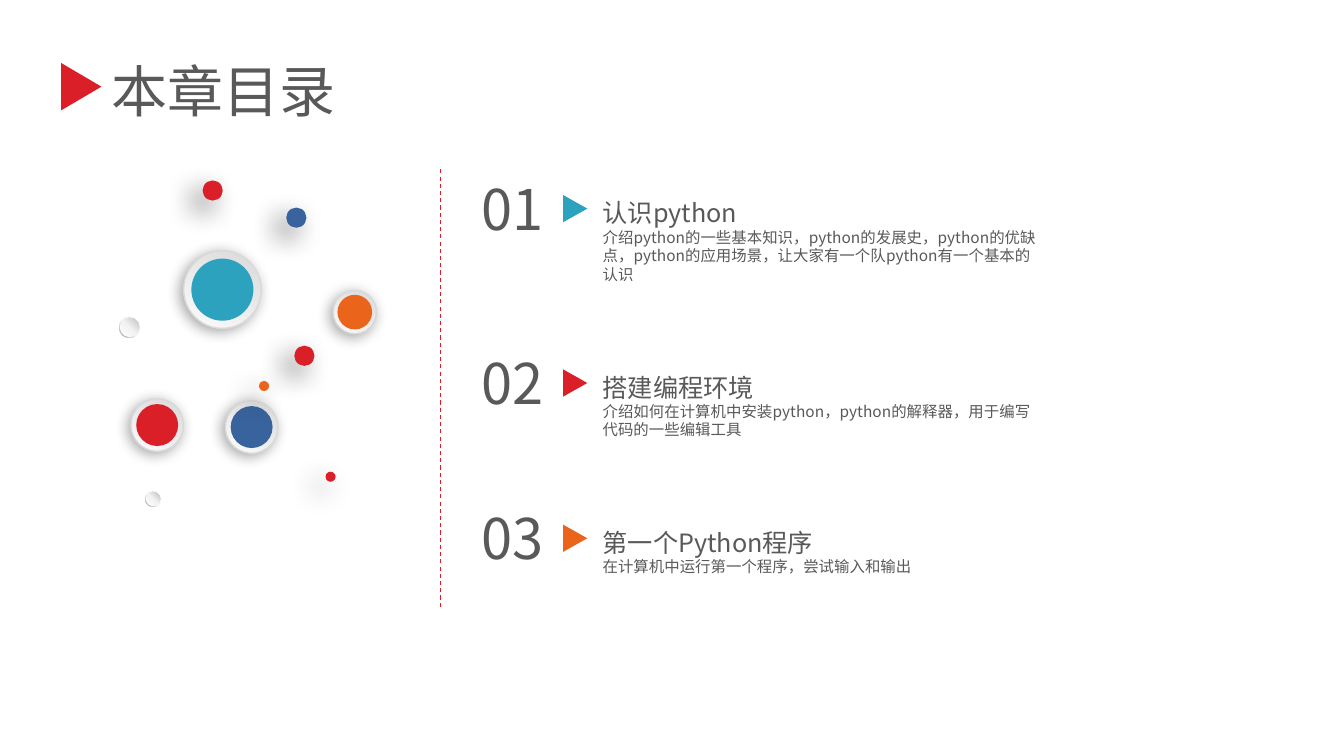
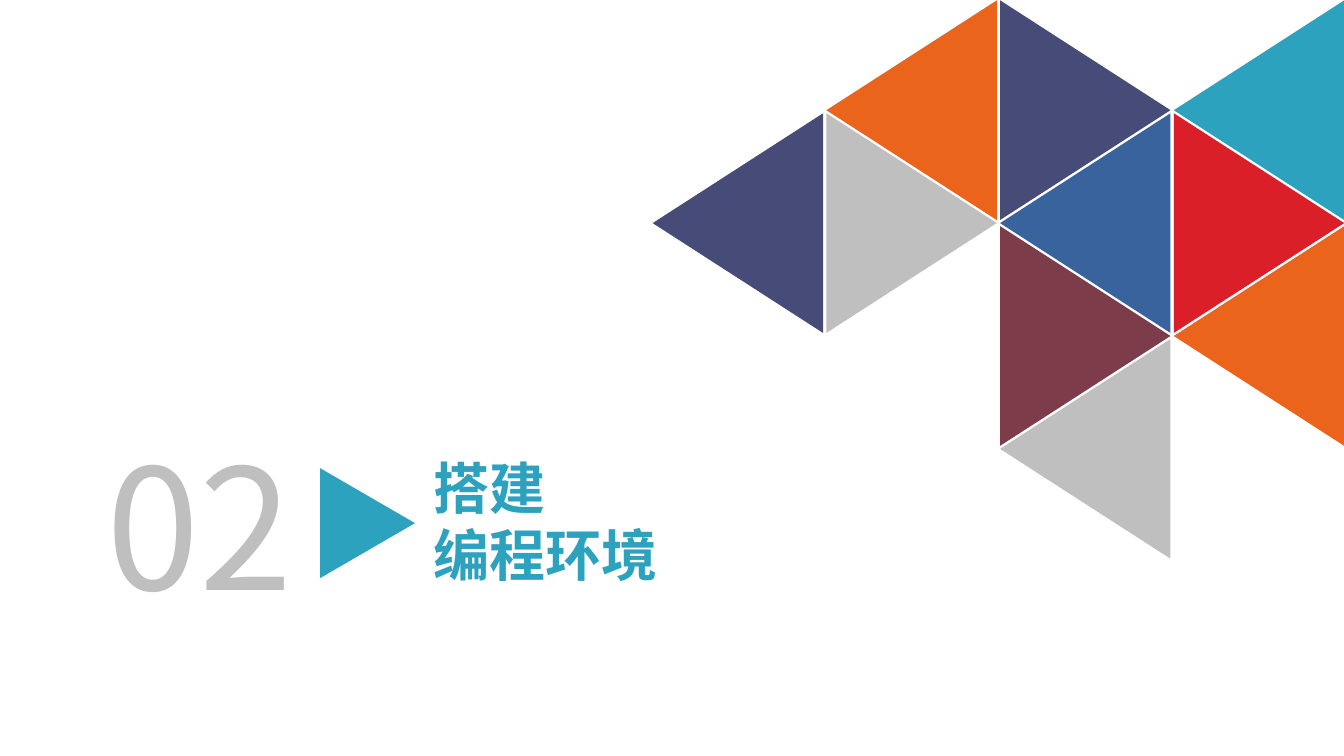
from lxml.etree import SubElement
from pptx import Presentation
from pptx.dml.color import RGBColor
from pptx.enum.dml import MSO_LINE
from pptx.enum.shapes import MSO_CONNECTOR, MSO_SHAPE
from pptx.enum.text import MSO_AUTO_SIZE, PP_ALIGN
from pptx.oxml import parse_xml
from pptx.oxml.ns import nsdecls, qn
from pptx.util import Inches, Pt

TEAL = RGBColor(0x2D, 0xA2, 0xBF)
RED = RGBColor(0xDA, 0x1F, 0x28)
ORANGE = RGBColor(0xEB, 0x64, 0x1B)
BLUE = RGBColor(0x39, 0x63, 0x9D)
INDIGO = RGBColor(0x47, 0x4B, 0x78)
WINE = RGBColor(0x7D, 0x3C, 0x4A)
SILVER = RGBColor(0xBF, 0xBF, 0xBF)
PALE = RGBColor(0xD9, 0xD9, 0xD9)
GRAY = RGBColor(0x59, 0x59, 0x59)
FONT = "Noto Sans CJK SC"

RING_GRAD = (120, [(0, "D9D9D9"), (100, "FCFCFC")])
RIM_GRAD = (135, [(0, "FFFFFF"), (55, "F2F2F2"), (100, "A6A6A6")])
PEARL_GRAD = (315, [(0, "FFFFFF"), (51, "F2F2F2"), (100, "BFBFBF")])
RING_SHADOW = (34, 10, 3, 136)
DOT_SHADOW = (60, 20, 10, 135)

prs = Presentation()
prs.slide_width = Inches(13.33)
prs.slide_height = Inches(7.5)
COL = prs.slide_width / 40
ROW = prs.slide_height / 22.5


def add_shape(s, kind, cx, cy, w, h, fill, rot=0, shadow=None):
    sp = s.shapes.add_shape(kind, int((cx - w / 2) * COL), int((cy - h / 2) * ROW),
                            int(w * COL), int(h * ROW))
    sp.rotation = rot
    sp.line.fill.background()
    sp.shadow.inherit = False
    spPr = sp._element.spPr
    if isinstance(fill, RGBColor):
        sp.fill.solid()
        sp.fill.fore_color.rgb = fill
    else:
        ang, stops = fill
        gs = "".join(f'<a:gs pos="{pos * 1000}"><a:srgbClr val="{c}"/></a:gs>' for pos, c in stops)
        spPr.find(qn("a:prstGeom")).addnext(parse_xml(
            f'<a:gradFill {nsdecls("a")} rotWithShape="1"><a:gsLst>{gs}</a:gsLst>'
            f'<a:lin ang="{ang * 60000}" scaled="0"/></a:gradFill>'))
    if shadow:
        alpha, blur, dist, ang = shadow
        spPr.find(qn("a:effectLst")).append(parse_xml(
            f'<a:outerShdw {nsdecls("a")} blurRad="{Pt(blur)}" dist="{Pt(dist)}" '
            f'dir="{ang * 60000}" algn="ctr" rotWithShape="0"><a:srgbClr val="000000">'
            f'<a:alpha val="{alpha * 1000}"/></a:srgbClr></a:outerShdw>'))
    return sp


def add_text(s, x, y, w, h, lines, color, bold=False):
    tb = s.shapes.add_textbox(int(x * COL), int(y * ROW), int(w * COL), int(h * ROW))
    tf = tb.text_frame
    tf.word_wrap = True
    tf.auto_size = MSO_AUTO_SIZE.SHAPE_TO_FIT_TEXT
    for i, (text, size) in enumerate(lines):
        p = tf.add_paragraph() if i else tf.paragraphs[0]
        r = p.add_run()
        r.text = text
        r.font.size = Pt(size)
        r.font.bold = bold
        r.font.color.rgb = color
        r.font.name = FONT
        SubElement(r._r.get_or_add_rPr(), qn("a:ea")).set("typeface", FONT)
    return tf


s = prs.slides.add_slide(prs.slide_layouts[6])

topics = [
    (5.04, 3.33, TEAL, "认识python",
     "介绍python的一些基本知识，python的发展史，python的优缺点，python的应用场景，让大家有一个队python有一个基本的认识"),
    (10.23, 2.79, RED, "搭建编程环境",
     "介绍如何在计算机中安装python，python的解释器，用于编写代码的一些编辑工具"),
    (14.85, 2.22, ORANGE, "第一个Python程序",
     "在计算机中运行第一个程序，尝试输入和输出"),
]
for n, (y, h, color, head, body) in enumerate(topics, 1):
    add_shape(s, MSO_SHAPE.ISOSCELES_TRIANGLE, 17.12, y + 1.17, 0.81, 0.72, color, 90)
    add_text(s, 14.04, y, 2.7, 2.31, [(f"{n:02}", 40)], GRAY)
    tf = add_text(s, 17.64, y + 0.24, 13.53, h, [(head, 18), (body, 11)], GRAY)
    tf.paragraphs[0].line_spacing = 1.5
    tf.paragraphs[0].space_before = Pt(6)

add_text(s, 3.03, 1.53, 9.78, 2.31, [("本章目录", 40)], GRAY)
add_shape(s, MSO_SHAPE.ISOSCELES_TRIANGLE, 2.42, 2.58, 1.41, 1.2, RED, 90)

for cx, cy, d, color in [(6.62, 8.62, 2.31, TEAL), (4.68, 12.65, 1.56, RED),
                         (7.49, 12.71, 1.56, BLUE), (10.56, 9.29, 1.29, ORANGE)]:
    ring = add_shape(s, MSO_SHAPE.OVAL, cx, cy, d, d, RING_GRAD, shadow=RING_SHADOW)
    ring.line.color.rgb = PALE
    ring.line.width = Pt(1)
    add_shape(s, MSO_SHAPE.OVAL, cx, cy, d * 0.8, d * 0.8, color)

for cx, cy, d in [(4.56, 14.85, 0.48), (3.86, 9.74, 0.63)]:
    rim = add_shape(s, MSO_SHAPE.DONUT, cx, cy, d, d, RIM_GRAD)
    rim.adjustments[0] = 0.05
    add_shape(s, MSO_SHAPE.OVAL, cx, cy, d - 0.06, d - 0.06, PEARL_GRAD)

for cx, cy, d, color in [(9.06, 10.59, 0.6, RED), (8.82, 6.48, 0.6, BLUE),
                         (9.84, 14.19, 0.3, RED), (6.33, 5.67, 0.6, RED),
                         (7.86, 11.49, 0.3, ORANGE)]:
    add_shape(s, MSO_SHAPE.OVAL, cx, cy, d, d, color, shadow=DOT_SHADOW)

divider = s.shapes.add_connector(MSO_CONNECTOR.STRAIGHT, int(13.11 * COL), int(5.04 * ROW),
                                 int(13.11 * COL), int(18.12 * ROW))
divider.line.color.rgb = RED
divider.line.width = Pt(0.75)
divider.line.dash_style = MSO_LINE.DASH
SubElement(divider._element.spPr, qn("a:effectLst"))

s = prs.slides.add_slide(prs.slide_layouts[6])

LEFT, RIGHT = 270, 90
mosaic = [
    (3, 0, LEFT, TEAL), (3, 1, RIGHT, RED), (3, 2, LEFT, ORANGE),
    (2, 0, RIGHT, INDIGO), (2, 1, LEFT, BLUE), (2, 2, RIGHT, WINE),
    (1, 0, LEFT, ORANGE), (2, 3, LEFT, SILVER), (1, 1, RIGHT, SILVER),
    (0, 1, LEFT, INDIGO),
]
for col, row, rot, color in mosaic:
    add_shape(s, MSO_SHAPE.ISOSCELES_TRIANGLE, 21.96 + 5.17 * col, 3.28 + 3.36 * row,
              6.54, 5.07, color, rot)

add_text(s, 12.6, 13.35, 14.19, 4.35, [("搭建", 40), ("编程环境", 40)], TEAL, True)
tf = add_text(s, 1.44, 12.42, 9, 6.36, [("02", 120)], SILVER)
tf.paragraphs[0].alignment = PP_ALIGN.CENTER
add_shape(s, MSO_SHAPE.ISOSCELES_TRIANGLE, 10.94, 15.57, 3.27, 2.82, TEAL, 90)

prs.save("out.pptx")
